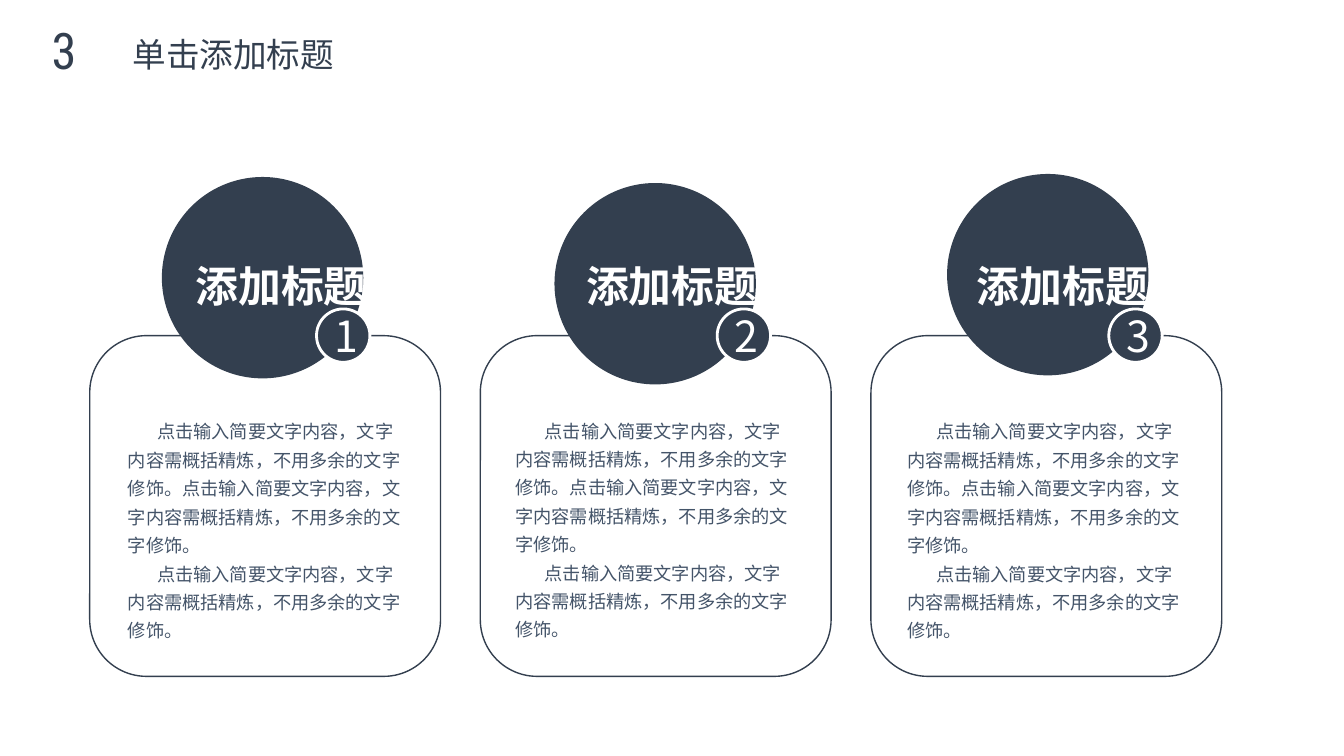
from dataclasses import dataclass

from lxml.etree import SubElement
from pptx import Presentation
from pptx.dml.color import RGBColor as Rgb
from pptx.enum.shapes import MSO_SHAPE as Kind
from pptx.enum.text import MSO_ANCHOR as Anchor, MSO_AUTO_SIZE as Fit, PP_ALIGN as Align
from pptx.oxml.ns import qn
from pptx.util import Inches, Pt


@dataclass(frozen=True)
class Theme:
    """Colours, fonts and type sizes of the slide."""
    dark: Rgb = Rgb.from_string("333F4F")
    body: Rgb = Rgb.from_string("445469")
    white: Rgb = Rgb.from_string("FFFFFF")
    sans: str = "Noto Sans CJK SC"
    slim: str = "Roboto Condensed"
    title: float = 24
    number: float = 36
    head: float = 30.6
    text: float = 13


@dataclass(frozen=True)
class Card:
    """Wording of a card and the places of its parts within it, in cells."""
    mark: str
    disc: tuple
    badge: float
    body: tuple


THEME = Theme()
CELL = Inches(0.1)
COLS, ROWS = 133.33, 75
LEFT, TOP, WIDE, HIGH, PITCH = 8.9, 33.3, 34.8, 33.8, 38.75
DISC, BADGE = 19.7, 5.3
TITLE = "单击添加标题"
HEAD = "添加标题"
LINE = "点击输入简要文字内容，文字内容需概括精炼，不用多余的文字修饰。"
BODY = (LINE * 2, LINE)
CARDS = (
    Card("1", (7.3, -15.6), 22.5, (3.8, 7.8)),
    Card("2", (7.5, -15), 23.5, (3.5, 7.7)),
    Card("3", (7.7, -15.9), 23.6, (3.6, 7.8)),
)


def cells(*vals):
    """Turn grid cells into lengths."""
    return [round(val * CELL) for val in vals]


def style(item, form):
    """Set each attribute of an item from a dict."""
    for key, val in form.items():
        setattr(item, key, val)


def write(frame, lines, size, color, face=THEME.sans, bold=False, indent=0, **para):
    """Fill a text frame with one formatted run per paragraph."""
    for num, line in enumerate(lines):
        par = frame.add_paragraph() if num else frame.paragraphs[0]
        style(par, para)
        if indent:
            par._p.get_or_add_pPr().set("indent", str(Inches(indent)))
        run = par.add_run()
        run.text = line
        style(run.font, {"name": face, "size": Pt(size), "bold": bold})
        run.font.color.rgb = color
        SubElement(run._r.get_or_add_rPr(), qn("a:ea"), typeface=face)


def label(slide, box, inset=True, wrap=True):
    """Add a text box and return its frame."""
    frame = slide.shapes.add_textbox(*cells(*box)).text_frame
    style(frame, {"word_wrap": wrap, "auto_size": Fit.SHAPE_TO_FIT_TEXT})
    if not inset:
        sides = ("left", "top", "right", "bottom")
        style(frame, {f"margin_{side}": 0 for side in sides})
    return frame


def form(slide, kind, box, line, width, fill=None):
    """Add an outlined shape, filled when a colour is given."""
    item = slide.shapes.add_shape(kind, *cells(*box))
    item.shadow.inherit = False
    if fill is None:
        item.fill.background()
    else:
        item.fill.solid()
        item.fill.fore_color.rgb = fill
    item.line.color.rgb = line
    item.line.width = Pt(width)
    return item


def header(slide, left, top):
    """Place the section number and the title."""
    title = slide.shapes.title
    place = cells(left + 7.9, top + 1, 24.7, 5.1)
    style(title, dict(zip(("left", "top", "width", "height"), place)))
    style(title.text_frame, {"vertical_anchor": Anchor.TOP, "word_wrap": True,
                             "auto_size": Fit.SHAPE_TO_FIT_TEXT})
    write(title.text_frame, [TITLE], THEME.title, THEME.dark, alignment=Align.CENTER)
    frame = label(slide, (left, top, 6.9, 6.1), inset=False)
    write(frame, ["3"], THEME.number, THEME.dark, THEME.slim, alignment=Align.CENTER)


def panel(slide, card, left, top, wide, high):
    """Draw one card with its disc, badge, heading and body."""
    form(slide, Kind.ROUNDED_RECTANGLE, (left, top, wide, high), THEME.dark, 1)
    across, down = card.disc
    form(slide, Kind.OVAL, (left + across, top + down, DISC, DISC),
         THEME.dark, 2, THEME.dark)
    badge = form(slide, Kind.OVAL, (left + card.badge, top - BADGE / 2, BADGE, BADGE),
                 THEME.white, 2, THEME.dark)
    badge.text_frame.vertical_anchor = Anchor.MIDDLE
    write(badge.text_frame, [card.mark], THEME.head, THEME.white,
          alignment=Align.CENTER)
    head = label(slide, (left + 9.5, top - 8, 19.2, 6.2), wrap=False)
    write(head, [HEAD], THEME.head, THEME.white, bold=True)
    across, down = card.body
    body = label(slide, (left + across, top + down, 27.6, 22.7), inset=False)
    write(body, BODY, THEME.text, THEME.body, indent=0.29, line_spacing=1.3)


def main():
    """Build the slide and save it."""
    deck = Presentation()
    deck.slide_width, deck.slide_height = cells(COLS, ROWS)
    slide = deck.slides.add_slide(deck.slide_layouts[5])
    header(slide, 2.9, 1.9)
    for num, card in enumerate(CARDS):
        panel(slide, card, LEFT + num * PITCH, TOP, WIDE, HIGH)
    deck.save("out.pptx")


if __name__ == "__main__":
    main()
